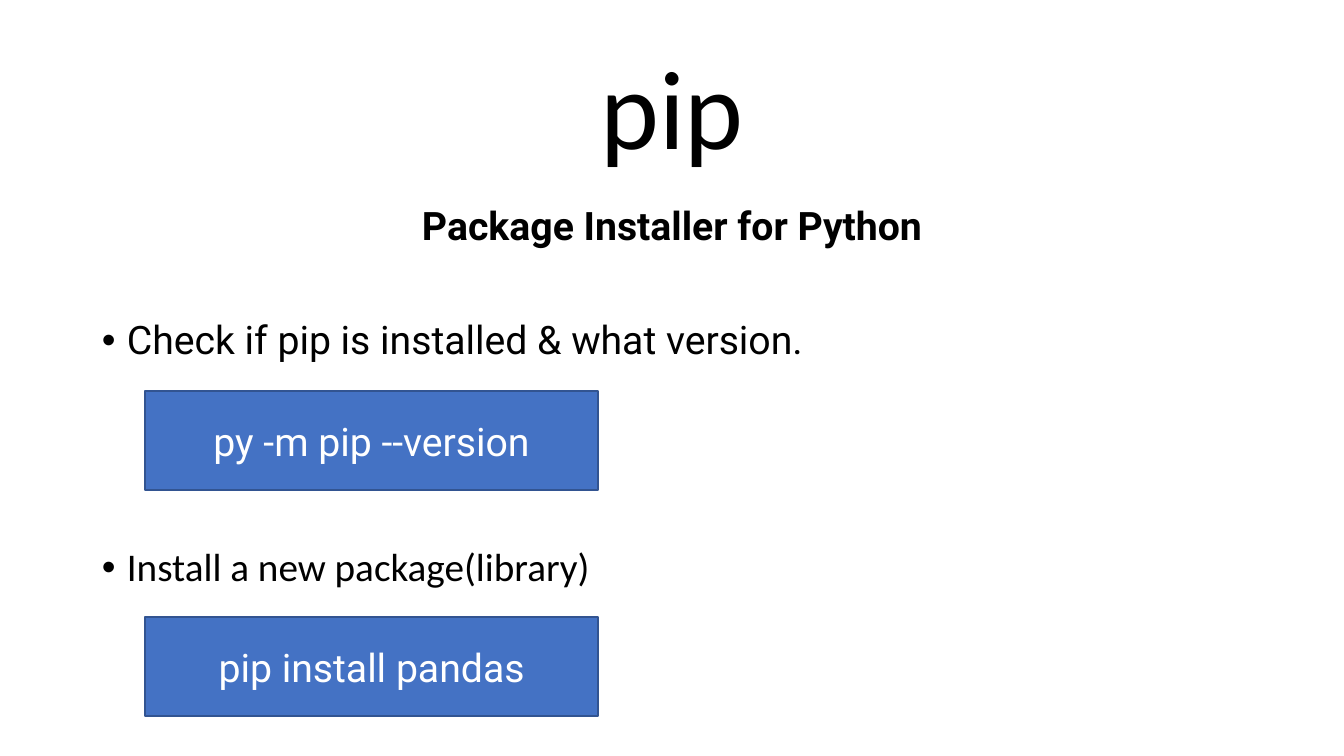
from dataclasses import dataclass

from lxml.etree import SubElement
from pptx import Presentation
from pptx.dml.color import RGBColor
from pptx.enum.shapes import MSO_SHAPE
from pptx.enum.text import MSO_ANCHOR, MSO_AUTO_SIZE, PP_ALIGN
from pptx.oxml.ns import qn
from pptx.slide import Slide
from pptx.util import Emu, Pt

SCALE = 914400 / 100.8


@dataclass(frozen=True)
class Theme:
    ink: RGBColor = RGBColor(0, 0, 0)
    paper: RGBColor = RGBColor(255, 255, 255)
    fill: RGBColor = RGBColor(0x44, 0x72, 0xC4)
    edge: RGBColor = RGBColor(0x32, 0x54, 0x91)
    plain: str = "Calibri"
    sans: str = "Roboto"
    title: int = 80
    body: int = 28


@dataclass(frozen=True)
class Line:
    text: str
    font: str
    space: int
    bullet: bool = True


@dataclass(frozen=True)
class Command:
    text: str
    top: int


THEME = Theme()
LINES = [
    Line("Package Installer for Python", THEME.sans, 0, False),
    Line("Check if pip is installed & what version.", THEME.sans, 51),
    Line("Install a new package(library)", THEME.plain, 132),
]
COMMANDS = [Command("py -m pip --version", 391), Command("pip install pandas", 617)]


def px(size: int) -> Emu:
    return Emu(round(size * SCALE))


def style(para, font: str, size: int, color: RGBColor, bold: bool = False) -> None:
    for run in para.runs:
        run.font.name = font
        run.font.size = Pt(size)
        run.font.color.rgb = color
        run.font.bold = bold


def mark(para) -> None:
    props = para._p.get_or_add_pPr()
    props.set("marL", str(px(25)))
    props.set("indent", str(-px(25)))
    SubElement(props, qn("a:buFont")).set("typeface", "Arial")
    SubElement(props, qn("a:buChar")).set("char", "•")


def add_title(slide: Slide, text: str) -> None:
    title = slide.shapes.title
    title.left, title.top, title.width, title.height = map(px, (92, 40, 1160, 146))
    frame = title.text_frame
    frame.text = text
    frame.auto_size = MSO_AUTO_SIZE.NONE
    frame.vertical_anchor = MSO_ANCHOR.MIDDLE
    para = frame.paragraphs[0]
    para.alignment = PP_ALIGN.CENTER
    para.line_spacing = 0.9
    style(para, THEME.plain, THEME.title, THEME.ink)


def add_body(slide: Slide, lines: list[Line]) -> None:
    frame = slide.shapes.add_textbox(*map(px, (92, 202, 1160, 480))).text_frame
    frame.word_wrap = True
    frame.text = "\n".join(line.text for line in lines)
    for para, line in zip(frame.paragraphs, lines):
        para.line_spacing = 0.9
        para.space_before = Pt(line.space)
        para.alignment = PP_ALIGN.LEFT if line.bullet else PP_ALIGN.CENTER
        if line.bullet:
            mark(para)
        style(para, line.font, THEME.body, THEME.ink, not line.bullet)


def add_box(slide: Slide, item: Command) -> None:
    box = slide.shapes.add_shape(MSO_SHAPE.RECTANGLE, *map(px, (145, item.top, 453, 99)))
    box.shadow.inherit = False
    box.fill.solid()
    box.fill.fore_color.rgb = THEME.fill
    box.line.color.rgb = THEME.edge
    box.line.width = Pt(1)
    frame = box.text_frame
    frame.text = item.text
    frame.vertical_anchor = MSO_ANCHOR.MIDDLE
    para = frame.paragraphs[0]
    para.alignment = PP_ALIGN.CENTER
    style(para, THEME.sans, THEME.body, THEME.paper)


def main() -> None:
    deck = Presentation()
    deck.slide_width, deck.slide_height = px(1344), px(756)
    slide = deck.slides.add_slide(deck.slide_layouts[5])
    add_title(slide, "pip")
    add_body(slide, LINES)
    for item in COMMANDS:
        add_box(slide, item)
    deck.save("out.pptx")


main()
